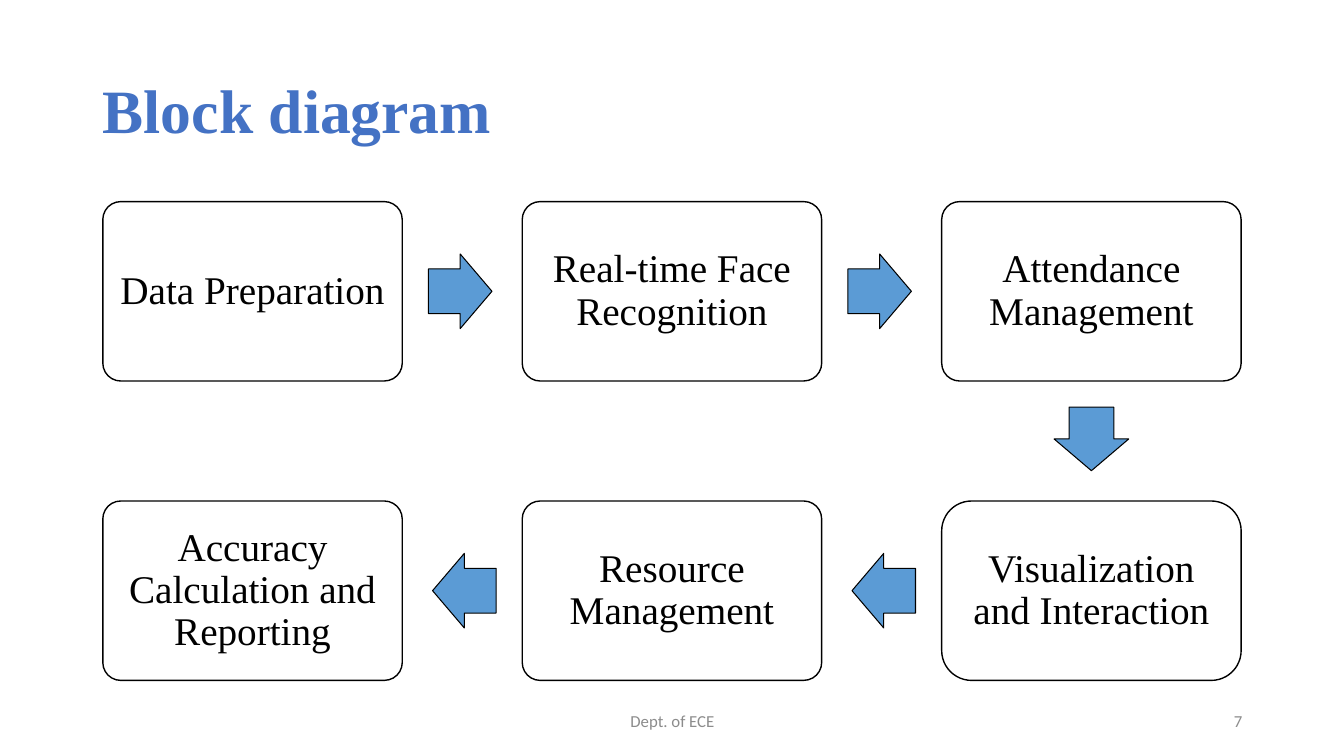
from dataclasses import dataclass
from itertools import pairwise
from math import atan2, degrees

from pptx import Presentation
from pptx.dml.color import RGBColor
from pptx.enum import shapes, text
from pptx.shapes.autoshape import Shape
from pptx.slide import Slide
from pptx.text.text import TextFrame
from pptx.util import Inches, Pt


@dataclass(frozen=True)
class Theme:
    heading_font: str = "Times New Roman"
    footer_font: str = "Calibri"
    title_color: str = "4472C4"
    ink: str = "000000"
    box_fill: str = "FFFFFF"
    arrow_fill: str = "5B9BD5"
    footer_color: str = "8C8C8C"
    title_size: int = 44
    step_size: int = 28
    footer_size: int = 12


@dataclass(frozen=True)
class Step:
    label: str
    col: int
    row: int
    kind: shapes.MSO_SHAPE = shapes.MSO_SHAPE.ROUNDED_RECTANGLE

    @property
    def center(self) -> tuple[float, float]:
        return FIRST_X + self.col * COL_PITCH, FIRST_Y + self.row * ROW_PITCH


@dataclass(frozen=True)
class FooterItem:
    label: str
    left: float
    width: float
    align: text.PP_ALIGN


THEME = Theme()
FIRST_X, FIRST_Y = 2.505, 2.89
COL_PITCH, ROW_PITCH = 4.16, 2.97
BOX_W, BOX_H = 2.97, 1.78
ARROW_W, ARROW_H = 0.63, 0.74
ARROW_SETBACK = 0.02

STEPS = [
    Step("Data Preparation", 0, 0),
    Step("Real-time Face Recognition", 1, 0),
    Step("Attendance Management", 2, 0),
    Step("Visualization and Interaction", 2, 1,
         shapes.MSO_SHAPE.FLOWCHART_ALTERNATE_PROCESS),
    Step("Resource Management", 1, 1),
    Step("Accuracy Calculation and Reporting", 0, 1),
]
FOOTER = [
    FooterItem("Dept. of ECE", 4.42, 4.5, text.PP_ALIGN.CENTER),
    FooterItem("7", 9.42, 3, text.PP_ALIGN.RIGHT),
]


def write(tf: TextFrame, label: str, font: str, size: int, color: str,
          align: text.PP_ALIGN, spacing: float = 1.0, bold: bool = False) -> None:
    tf.word_wrap = True
    tf.vertical_anchor = text.MSO_ANCHOR.MIDDLE
    p = tf.paragraphs[0]
    p.alignment = align
    p.line_spacing = spacing
    r = p.add_run()
    r.text = label
    r.font.name = font
    r.font.size = Pt(size)
    r.font.bold = bold
    r.font.color.rgb = RGBColor.from_string(color)


def add_centered(s: Slide, kind: shapes.MSO_SHAPE, x: float, y: float,
                 w: float, h: float, fill: str, line_width: float) -> Shape:
    """Add an outlined shape whose centre is at x, y."""
    sp = s.shapes.add_shape(kind, Inches(x - w / 2), Inches(y - h / 2),
                            Inches(w), Inches(h))
    sp.shadow.inherit = False
    sp.fill.solid()
    sp.fill.fore_color.rgb = RGBColor.from_string(fill)
    sp.line.color.rgb = RGBColor.from_string(THEME.ink)
    sp.line.width = Pt(line_width)
    return sp


def add_step(s: Slide, step: Step) -> None:
    sp = add_centered(s, step.kind, *step.center, BOX_W, BOX_H, THEME.box_fill, 1)
    if step.kind == shapes.MSO_SHAPE.ROUNDED_RECTANGLE:
        sp.adjustments[0] = 0.1
    tf = sp.text_frame
    tf.margin_left = tf.margin_right = tf.margin_top = tf.margin_bottom = Inches(0.1)
    write(tf, step.label, THEME.heading_font, THEME.step_size, THEME.ink,
          text.PP_ALIGN.CENTER, spacing=0.9)


def add_arrow(s: Slide, start: Step, end: Step) -> None:
    """Place an arrow between two steps, set back slightly towards the first."""
    dx, dy = end.col - start.col, end.row - start.row
    (x1, y1), (x2, y2) = start.center, end.center
    sp = add_centered(s, shapes.MSO_SHAPE.RIGHT_ARROW,
                      (x1 + x2) / 2 - ARROW_SETBACK * dx,
                      (y1 + y2) / 2 - ARROW_SETBACK * dy,
                      ARROW_W, ARROW_H, THEME.arrow_fill, 0.75)
    sp.adjustments[0], sp.adjustments[1] = 0.6, 0.5
    sp.rotation = degrees(atan2(dy, dx))


def add_title(s: Slide, label: str) -> None:
    title = s.shapes.title
    title.left, title.top = Inches(0.92), Inches(0.4)
    title.width, title.height = Inches(11.5), Inches(1.45)
    write(title.text_frame, label, THEME.heading_font, THEME.title_size,
          THEME.title_color, text.PP_ALIGN.LEFT, spacing=0.9, bold=True)


def add_footer(s: Slide, item: FooterItem) -> None:
    sp = s.shapes.add_textbox(Inches(item.left), Inches(6.95),
                              Inches(item.width), Inches(0.4))
    write(sp.text_frame, item.label, THEME.footer_font, THEME.footer_size,
          THEME.footer_color, item.align)


def main() -> None:
    prs = Presentation()
    prs.slide_width, prs.slide_height = Inches(13.33), Inches(7.5)
    s = prs.slides.add_slide(prs.slide_layouts[5])
    add_title(s, "Block diagram")
    for step in STEPS:
        add_step(s, step)
    for start, end in pairwise(STEPS):
        add_arrow(s, start, end)
    for item in FOOTER:
        add_footer(s, item)
    prs.save("out.pptx")


if __name__ == "__main__":
    main()
